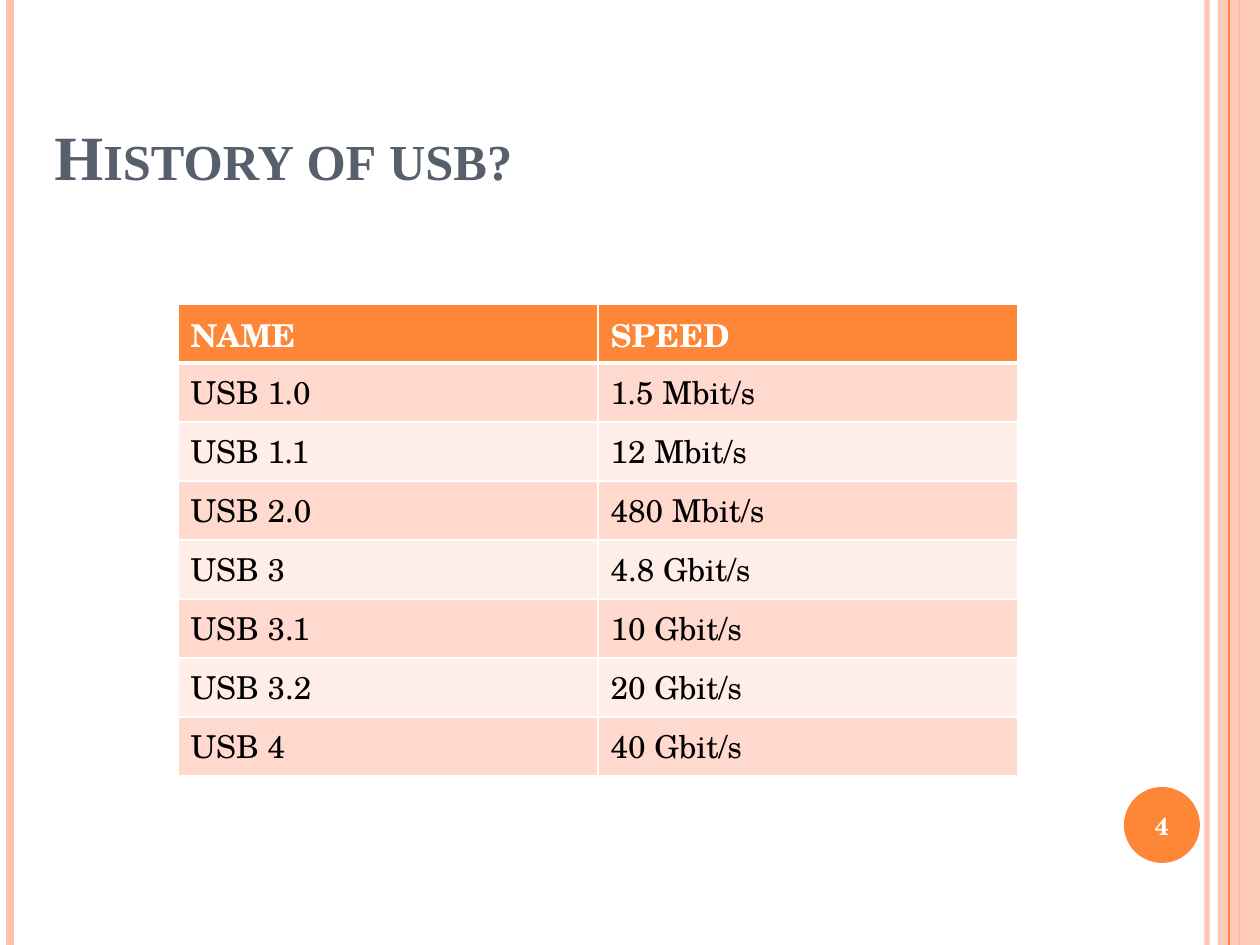
from dataclasses import dataclass

import pptx
import pptx.dml.color
import pptx.enum.shapes
import pptx.enum.text
import pptx.oxml
import pptx.oxml.ns
import pptx.util
from lxml import etree

EMU_PER_PX = 914400 // 126
SLIDE_W, SLIDE_H = 1260, 945
ROW_H = 59
COLORS = {
    "orange": "FE8637",
    "peach": "FEC3AE",
    "slate": "575F6D",
    "white": "FFFFFF",
    "black": "000000",
    "band_dark": "FFD9CE",
    "band_light": "FFEDE8",
}
BODY_FONT = "TeX Gyre Schola"
TITLE_FONT = "Times New Roman"
ANCHOR = pptx.enum.text.MSO_ANCHOR
ALIGN = pptx.enum.text.PP_ALIGN
SHAPE = pptx.enum.shapes.MSO_SHAPE


@dataclass(frozen=True)
class Box:
    left: int
    top: int
    width: int
    height: int

    def emu(self) -> tuple:
        return tuple(px(v) for v in (self.left, self.top, self.width, self.height))


@dataclass(frozen=True)
class Stripe:
    x: int
    width_pt: float
    color: str
    opacity: int = 100


@dataclass(frozen=True)
class TextStyle:
    font: str
    size: int
    color: str
    bold: bool = False


def px(value: int) -> int:
    return pptx.util.Emu(value * EMU_PER_PX)


def rgb(name: str) -> pptx.dml.color.RGBColor:
    return pptx.dml.color.RGBColor.from_string(COLORS[name])


def set_opacity(element, percent: int) -> None:
    color = element.find(".//" + pptx.oxml.ns.qn("a:srgbClr"))
    etree.SubElement(color, pptx.oxml.ns.qn("a:alpha")).set("val", str(percent * 1000))


def write(frame, text: str, style: TextStyle):
    """Fill a text frame with one styled run and return that run."""
    frame.text = text
    run = frame.paragraphs[0].runs[0]
    run.font.name = style.font
    run.font.size = pptx.util.Pt(style.size)
    run.font.bold = style.bold
    run.font.color.rgb = rgb(style.color)
    return run


def draw_stripe(slide, stripe: Stripe) -> None:
    line = slide.shapes.add_connector(
        pptx.enum.shapes.MSO_CONNECTOR.STRAIGHT,
        px(stripe.x), 0, px(stripe.x), px(SLIDE_H))
    line.line.width = pptx.util.Pt(stripe.width_pt)
    line.line.color.rgb = rgb(stripe.color)
    properties = line._element.spPr
    if stripe.opacity < 100:
        set_opacity(properties, stripe.opacity)
    etree.SubElement(properties, pptx.oxml.ns.qn("a:effectLst"))


def draw_solid(slide, kind, box: Box, color: str, opacity: int = 100) -> None:
    solid = slide.shapes.add_shape(kind, *box.emu())
    solid.shadow.inherit = False
    solid.fill.solid()
    solid.fill.fore_color.rgb = rgb(color)
    solid.line.fill.background()
    if opacity < 100:
        set_opacity(solid._element.spPr, opacity)


def draw_text(slide, box: Box, text: str, style: TextStyle, anchor, align):
    frame = slide.shapes.add_textbox(*box.emu()).text_frame
    frame.word_wrap = True
    frame.vertical_anchor = anchor
    run = write(frame, text, style)
    frame.paragraphs[0].alignment = align
    return run


def set_borders(cell, bottom_pt: int) -> None:
    properties = cell._tc.get_or_add_tcPr()
    sides = (("lnL", 1), ("lnR", 1), ("lnT", 1), ("lnB", bottom_pt))
    for position, (side, width) in enumerate(sides):
        properties.insert(position, pptx.oxml.parse_xml(
            f'<a:{side} {pptx.oxml.ns.nsdecls("a")} w="{width * 12700}"><a:solidFill>'
            f'<a:srgbClr val="{COLORS["white"]}"/></a:solidFill></a:{side}>'))


def draw_speed_table(slide, box: Box, rows: list[tuple[str, str]]) -> None:
    table = slide.shapes.add_table(len(rows), len(rows[0]), *box.emu()).table
    for row_index, row in enumerate(rows):
        is_header = row_index == 0
        band = "band_dark" if row_index % 2 else "band_light"
        style = TextStyle(BODY_FONT, 18, "white" if is_header else "black", is_header)
        for column_index, text in enumerate(row):
            cell = table.cell(row_index, column_index)
            cell.fill.solid()
            cell.fill.fore_color.rgb = rgb("orange" if is_header else band)
            set_borders(cell, 3 if is_header else 1)
            write(cell.text_frame, text, style)


SPEEDS = [
    ("NAME", "SPEED"),
    ("USB 1.0", "1.5 Mbit/s"),
    ("USB 1.1", "12 Mbit/s"),
    ("USB 2.0", "480 Mbit/s"),
    ("USB 3", "4.8 Gbit/s"),
    ("USB 3.1", "10 Gbit/s"),
    ("USB 3.2", "20 Gbit/s"),
    ("USB 4", "40 Gbit/s"),
]
STRIPES_BEHIND_BAND = [
    Stripe(1207, 3, "peach", 93),
    Stripe(10, 4.5, "peach"),
    Stripe(1239, 1.5, "orange"),
]


def main() -> None:
    deck = pptx.Presentation()
    deck.slide_width = px(SLIDE_W)
    deck.slide_height = px(SLIDE_H)
    slide = deck.slides.add_slide(deck.slide_layouts[6])

    # Edge decoration
    for stripe in STRIPES_BEHIND_BAND:
        draw_stripe(slide, stripe)
    draw_solid(slide, SHAPE.RECTANGLE, Box(1218, 0, 42, SLIDE_H), "peach", 87)
    draw_stripe(slide, Stripe(1229, 0.75, "orange"))

    # Title in small caps
    title = draw_text(slide, Box(42, 42, 1113, 157), "History of usb?",
                      TextStyle(TITLE_FONT, 36, "slate", True), ANCHOR.BOTTOM, ALIGN.LEFT)
    title.font._element.set("cap", "small")

    # Speeds by version
    draw_speed_table(slide, Box(178, 304, 840, ROW_H * len(SPEEDS)), SPEEDS)

    # Page number
    draw_solid(slide, SHAPE.OVAL, Box(1124, 787, 76, 76), "orange")
    draw_text(slide, Box(1120, 790, 84, 72), "4",
              TextStyle(BODY_FONT, 14, "white", True), ANCHOR.MIDDLE, ALIGN.CENTER)

    deck.save("out.pptx")


if __name__ == "__main__":
    main()
